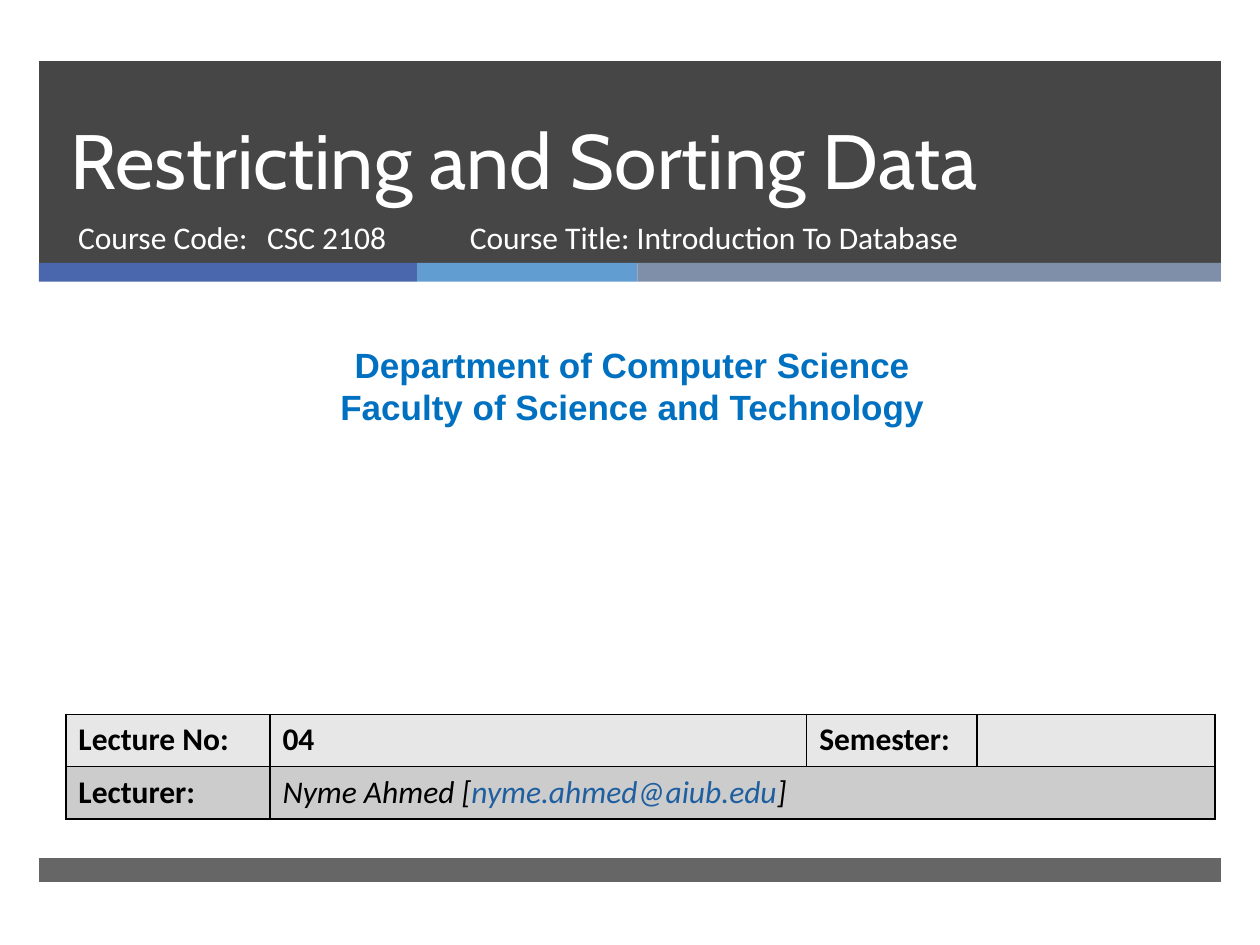
from lxml import etree
from pptx import Presentation
from pptx import util as u
from pptx.dml import color
from pptx.enum import shapes, text
from pptx.oxml import ns


class Theme:
    white, black, dark = "FFFFFF", "000000", "262626"
    accents = ["4A66AC", "629DD1", "7F8FA9"]
    department, email = "0070C0", "1F5FA0"
    table_rows = ["E7E7E7", "CCCCCC"]
    heading, body, label = "Cabin", "Calibri", "Arial"
    title_size, department_size, body_size = 44, 20, 18


deck = Presentation()
deck.slide_width, deck.slide_height = u.Inches(10), u.Inches(7.5)
column, row = deck.slide_width / 100, deck.slide_height / 75
page = deck.slides.add_slide(deck.slide_layouts[0])
title, code = page.placeholders


def area(left, top, width, height):
    return [round(n) for n in (left * column, top * row, width * column, height * row)]


def add_span(para, words, font, size, tint, bold=False, italic=False):
    span = para.add_run()
    span.text = words
    span.font.name, span.font.size = font, u.Pt(size)
    span.font.bold, span.font.italic = bold, italic
    span.font.color.rgb = color.RGBColor.from_string(tint)


bands = [
    (3.1, 4.86, 93.8, 16.05, Theme.dark, 85),
    (3.1, 20.86, 30, 1.5, Theme.accents[0], 100),
    (33.1, 20.86, 17.5, 1.5, Theme.accents[1], 100),
    (50.6, 20.86, 46.3, 1.5, Theme.accents[2], 100),
    (3.1, 68.1, 93.8, 1.9, Theme.dark, 70),
]
for *place, tint, opacity in bands:
    band = page.shapes.add_shape(shapes.MSO_SHAPE.RECTANGLE, *area(*place))
    band.shadow.inherit = False
    band.line.fill.background()
    band.fill.solid()
    band.fill.fore_color.rgb = color.RGBColor.from_string(tint)
    if opacity < 100:
        paint = band.fill._xPr.find(".//" + ns.qn("a:srgbClr"))
        etree.SubElement(paint, ns.qn("a:alpha"), val=str(opacity * 1000))

department, course = [page.shapes.add_textbox(0, 0, 0, 0) for _ in range(2)]
top, bottom = text.MSO_ANCHOR.TOP, text.MSO_ANCHOR.BOTTOM
left, center = text.PP_ALIGN.LEFT, text.PP_ALIGN.CENTER
heading = (Theme.heading, Theme.title_size, Theme.white)
detail = (Theme.body, Theme.body_size, Theme.white)
label = (Theme.label, Theme.department_size, Theme.department, True)
blocks = [
    (title, (4.6, 4.9, 85.4, 11.9), bottom, left, 46, heading,
     ["Restricting and Sorting Data"]),
    (code, (5.2, 16.8, 30.5, 5.3), top, left, None, detail,
     ["Course Code:\tCSC 2108"]),
    (department, (0.84, 26.8, 98.7, 7.7), top, center, 24, label,
     ["Department of Computer Science", "Faculty of Science and Technology"]),
    (course, (36.3, 16.8, 45.5, 5.3), top, left, None, detail,
     ["Course Title: Introduction To Database"]),
]
for box, place, anchor, align, leading, style, lines in blocks:
    page.shapes._spTree.append(box._element)
    box.left, box.top, box.width, box.height = area(*place)
    frame = box.text_frame
    frame.word_wrap, frame.auto_size = True, text.MSO_AUTO_SIZE.NONE
    frame.vertical_anchor = anchor
    for index, words in enumerate(lines):
        para = frame.add_paragraph() if index else frame.paragraphs[0]
        para.alignment, para.space_before = align, u.Pt(0)
        if leading:
            para.line_spacing = u.Pt(leading)
        add_span(para, words, *style)

tabs = etree.SubElement(code.text_frame.paragraphs[0]._p.get_or_add_pPr(), ns.qn("a:tabLst"))
etree.SubElement(tabs, ns.qn("a:tab"), pos=str(round(14.6 * column)), algn="l")

table = page.shapes.add_table(2, 4, *area(5.23, 56.7, 91.2, 8.3)).table
for table_column, share in zip(table.columns, (16.2, 42.6, 13.5, 18.9)):
    table_column.width = round(share * column)
for table_row, tint in zip(table.rows, Theme.table_rows):
    table_row.height = round(4.15 * row)
    for cell in table_row.cells:
        properties = cell._tc.get_or_add_tcPr()
        for side in ("lnL", "lnR", "lnT", "lnB"):
            border = etree.SubElement(properties, ns.qn("a:" + side), w=str(u.Pt(1)))
            paint = etree.SubElement(border, ns.qn("a:solidFill"))
            etree.SubElement(paint, ns.qn("a:srgbClr"), val=Theme.black)
        cell.fill.solid()
        cell.fill.fore_color.rgb = color.RGBColor.from_string(tint)
table.cell(1, 1).merge(table.cell(1, 3))

entries = [
    (0, 0, "Lecture No:", Theme.black, True),
    (0, 1, "04", Theme.black, True),
    (0, 2, "Semester:", Theme.black, True),
    (1, 0, "Lecturer:", Theme.black, True),
    (1, 1, "Nyme Ahmed [", Theme.black, False),
    (1, 1, "nyme.ahmed@aiub.edu", Theme.email, False),
    (1, 1, "]", Theme.black, False),
]
for line, place, words, tint, bold in entries:
    para = table.cell(line, place).text_frame.paragraphs[0]
    add_span(para, words, Theme.body, Theme.body_size, tint, bold, not bold)

deck.save("out.pptx")
